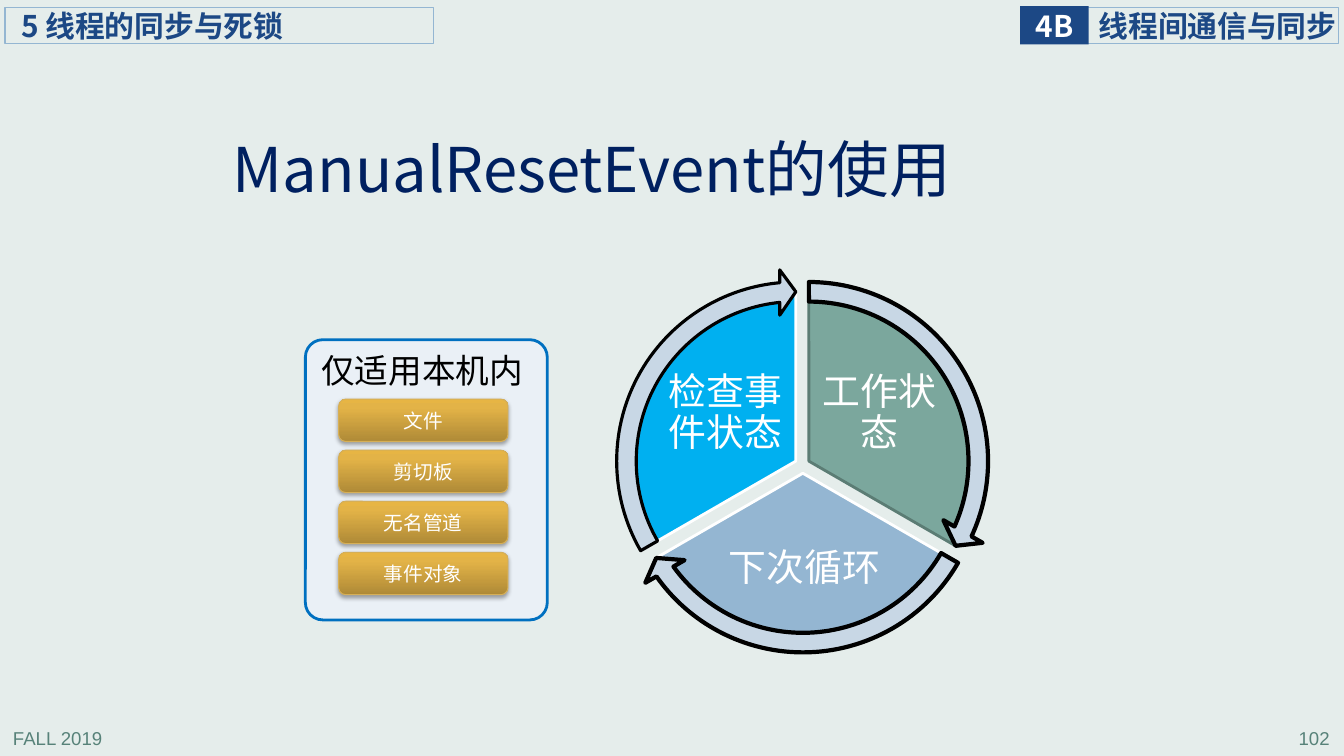
import lxml.etree
import pptx
import pptx.dml.color
import pptx.enum.shapes
import pptx.enum.text
import pptx.oxml
import pptx.oxml.ns
import pptx.util

RGB = pptx.dml.color.RGBColor
SHAPE = pptx.enum.shapes.MSO_SHAPE
ALIGN = pptx.enum.text.PP_ALIGN
ANCHOR = pptx.enum.text.MSO_ANCHOR
Pt = pptx.util.Pt

BACKGROUND = RGB(0xE5, 0xED, 0xEB)
WHITE = RGB(0xFF, 0xFF, 0xFF)
BLACK = RGB(0, 0, 0)
NAVY = RGB(0x1C, 0x48, 0x85)
TITLE_BLUE = RGB(0x00, 0x20, 0x60)
STEEL = RGB(0x94, 0xB6, 0xD2)
FOOTER_GREEN = RGB(0x57, 0x82, 0x79)
SAGE = RGB(0x7B, 0xA7, 0x9D)
DARK_SAGE = RGB(0x5B, 0x7C, 0x74)
SKY = RGB(0x00, 0xB0, 0xF0)
ARROW_FILL = RGB(0xC8, 0xD7, 0xE5)
PANEL_FILL = RGB(0xEA, 0xF0, 0xF6)
PANEL_LINE = RGB(0x00, 0x70, 0xC0)
GOLD_LINE = RGB(0xD6, 0xAF, 0x57)
GOLD_STOPS = (
    (0, RGB(0xAF, 0x8A, 0x37)),
    (80, RGB(0xE3, 0xB3, 0x47)),
    (100, RGB(0xE7, 0xB5, 0x44)),
)

SLIDE_W, SLIDE_H = pptx.util.Inches(13.33), pptx.util.Inches(7.5)
COL, ROW = SLIDE_W / 160, SLIDE_H / 90
CJK = "Noto Sans CJK SC"
PIE_SIZE, ARROW_MARGIN = 40.68, 2.52


def place(left, top, width, height):
    return round(left * COL), round(top * ROW), round(width * COL), round(height * ROW)


def apply(target, values):
    for name, value in values.items():
        setattr(target, name, value)


def margins(left, top, right, bottom):
    return {
        "margin_left": Pt(left),
        "margin_top": Pt(top),
        "margin_right": Pt(right),
        "margin_bottom": Pt(bottom),
    }


def write(sp, text, size, color, font=CJK, bold=False, frame=None, para=None):
    tf = sp.text_frame
    apply(tf, {"word_wrap": True, **(frame or {})})
    p = tf.paragraphs[0]
    apply(p, {"alignment": ALIGN.LEFT, **(para or {})})
    r = p.add_run()
    r.text = text
    apply(r.font, {"size": Pt(size), "name": font, "bold": bold})
    r.font.color.rgb = color
    ea = lxml.etree.SubElement(r.font._element, pptx.oxml.ns.qn("a:ea"))
    ea.set("typeface", CJK)


def add_text(s, box, *args, **kwargs):
    write(s.shapes.add_textbox(*place(*box)), *args, **kwargs)


def add_shape(s, kind, box, fill=None, line=None, width=1, adjust=()):
    sp = s.shapes.add_shape(kind, *place(*box))
    sp.shadow.inherit = False
    for i, value in enumerate(adjust):
        sp.adjustments[i] = value
    if fill is None:
        sp.fill.background()
    else:
        sp.fill.solid()
        sp.fill.fore_color.rgb = fill
    if line is None:
        sp.line.fill.background()
    else:
        sp.line.color.rgb = line
        sp.line.width = Pt(width)
    return sp


def add_header(s, box, text, inset, fill=None, line=None, color=NAVY, frame=None, para=None):
    sp = add_shape(s, SHAPE.RECTANGLE, box, fill, line, 0.75)
    layout = {"vertical_anchor": ANCHOR.MIDDLE, **margins(inset, 0, 0, 0), **(frame or {})}
    write(sp, text, 21.3, color, bold=True, frame=layout, para=para)


def add_gold_button(s, box, text):
    sp = add_shape(s, SHAPE.ROUNDED_RECTANGLE, box, WHITE, GOLD_LINE, 0.75)
    ns = pptx.oxml.ns.nsdecls("a")
    stops = "".join(
        f'<a:gs pos="{pos * 1000}"><a:srgbClr val="{color}"/></a:gs>' for pos, color in GOLD_STOPS
    )
    gradient = pptx.oxml.parse_xml(
        f'<a:gradFill {ns} rotWithShape="1"><a:gsLst>{stops}</a:gsLst>'
        '<a:lin ang="16200000" scaled="0"/></a:gradFill>'
    )
    shadow = pptx.oxml.parse_xml(
        f'<a:outerShdw {ns} blurRad="{Pt(3.1)}" dist="{Pt(1.8)}" dir="5400000" rotWithShape="0">'
        f'<a:srgbClr val="{BLACK}"><a:alpha val="35000"/></a:srgbClr></a:outerShdw>'
    )
    props = sp._element.spPr
    props.replace(props.find(pptx.oxml.ns.qn("a:solidFill")), gradient)
    props.find(pptx.oxml.ns.qn("a:effectLst")).append(shadow)
    write(sp, text, 14, WHITE, frame={"vertical_anchor": ANCHOR.MIDDLE},
          para={"alignment": ALIGN.CENTER})


def add_cycle(s):
    sectors = (
        ("工作状态", 75.96, 34.56, (162, 18), SAGE, DARK_SAGE, (97.44, 43.2, 14.52, 12.12),
         (14.725, 161.994), 3),
        ("下次循环", 75.24, 36, (18, 90), STEEL, WHITE, (84.84, 62.4, 21.84, 10.68),
         (86.72, 18.005), 3),
        ("检查事件状态", 74.4, 34.56, (90, 162), SKY, WHITE, (79.08, 43.2, 14.52, 12.12),
         (158.73, 90), 2.25),
    )
    frame = {"vertical_anchor": ANCHOR.MIDDLE, **margins(2.9, 2.9, 2.9, 2.9)}
    para = {"alignment": ALIGN.CENTER, "line_spacing": 0.9}
    for text, left, top, angles, fill, line, label, *_ in sectors:
        add_shape(s, SHAPE.PIE, (left, top, PIE_SIZE, PIE_SIZE), fill, line, 2, angles)
        add_text(s, label, text, 27, WHITE, font="Calibri", frame=frame, para=para)
    size = PIE_SIZE + 2 * ARROW_MARGIN
    for _, left, top, *_, sweep, width in sectors:
        box = (left - ARROW_MARGIN, top - ARROW_MARGIN, size, size)
        add_shape(s, SHAPE.CIRCULAR_ARROW, box, ARROW_FILL, BLACK, width,
                  (0.051, 3.275, *sweep, 0.059))


def add_scope_panel(s):
    add_shape(s, SHAPE.ROUNDED_RECTANGLE, (36.36, 40.44, 28.8, 33.36), PANEL_FILL, PANEL_LINE,
              2, (0.072,))
    add_text(s, (37.08, 41.04, 26.64, 6), "仅适用本机内", 24, BLACK, frame={"word_wrap": False})
    for i, text in enumerate(("文件", "剪切板", "无名管道", "事件对象")):
        add_gold_button(s, (40.32, 47.52 + 6.08 * i, 20.16, 5.04), text)


def main():
    prs = pptx.Presentation()
    apply(prs, {"slide_width": SLIDE_W, "slide_height": SLIDE_H})
    s = prs.slides.add_slide(prs.slide_layouts[6])
    s.background.fill.solid()
    s.background.fill.fore_color.rgb = BACKGROUND

    add_text(s, (0.36, 85.92, 33.36, 3.72), "FALL 2019", 13.3, FOOTER_GREEN, font="Arial")
    add_text(s, (126.12, 85.92, 33.36, 3.72), "102", 13.3, FOOTER_GREEN, font="Arial",
             para={"alignment": ALIGN.RIGHT})
    add_header(s, (129.36, 0.84, 30, 4.32), "线程间通信与同步", 8.6, line=STEEL)
    add_header(s, (121.44, 0.72, 8.16, 4.56), "4B", 0, fill=NAVY, color=WHITE,
               frame={"word_wrap": False}, para={"alignment": ALIGN.CENTER})
    add_header(s, (0.6, 0.84, 51, 4.32), "5 线程的同步与死锁", 11.5, line=STEEL)
    add_text(s, (26.76, 15.6, 101.16, 9.96), "ManualResetEvent的使用", 44, TITLE_BLUE,
             frame={"vertical_anchor": ANCHOR.MIDDLE, **margins(5.8, 2.9, 5.8, 2.9)},
             para={"line_spacing": 0.9})
    add_cycle(s)
    add_scope_panel(s)
    prs.save("out.pptx")


if __name__ == "__main__":
    main()
